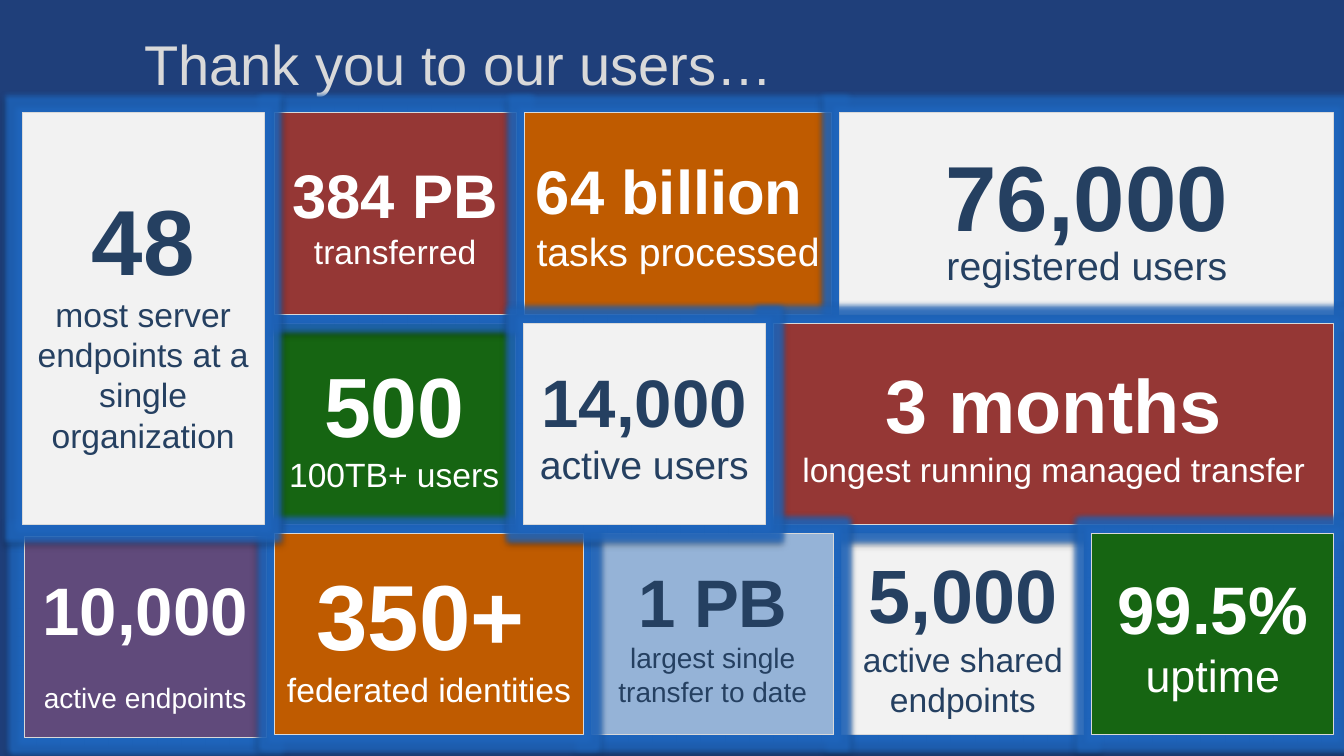
from lxml import etree
from pptx import Presentation
from pptx.dml.color import RGBColor
from pptx.enum.shapes import MSO_SHAPE
from pptx.enum.text import MSO_ANCHOR, PP_ALIGN
from pptx.oxml import parse_xml
from pptx.oxml.ns import nsdecls, qn
from pptx.util import Inches, Pt

NAVY = RGBColor(0x1F, 0x3F, 0x7A)
INK = RGBColor(0x25, 0x40, 0x61)
WHITE = RGBColor(0xFF, 0xFF, 0xFF)
SILVER = RGBColor(0xD9, 0xD9, 0xD9)
PALE = RGBColor(0xF2, 0xF2, 0xF2)
RED = RGBColor(0x95, 0x37, 0x35)
ORANGE = RGBColor(0xBF, 0x5B, 0x00)
GREEN = RGBColor(0x16, 0x65, 0x12)
PURPLE = RGBColor(0x60, 0x4A, 0x7B)
SKY = RGBColor(0x95, 0xB3, 0xD7)
GLOW = RGBColor(0x1F, 0x66, 0xBE)

# Content: a tile is (stacking order, width, fill, text colour, paragraphs);
# a paragraph lists (text, size, bold) runs, with BREAK for a new line
TITLE = "Thank you to our users…"
BREAK = None
SERVERS = (10, 2.4, PALE, INK, [
    [("48", 66, True), BREAK, ("most server endpoints at a single", 24, False)],
    [("organization", 24, False)]])
ENDPOINTS = (3, 2.4, PURPLE, WHITE, [
    [("10,000", 48, True), (" ", 54, True), BREAK, ("active endpoints", 20, False)]])
ROWS = [
    (2.72, [
        (2, 2.4, RED, WHITE, [[("384 PB", 44, True)], [("transferred", 24, False)]]),
        (4, 3.05, ORANGE, WHITE, [
            [("64 billion ", 44, True), BREAK, ("tasks processed", 28, False)]]),
        (5, 4.9, PALE, INK, [[("76,000", 66, True)], [("registered users", 28, False)]])]),
    (2.71, [
        (1, 2.4, GREEN, WHITE, [[("500", 60, True), BREAK, ("100TB+ users", 24, False)]]),
        (11, 2.4, PALE, INK, [[("14,000", 48, True)], [("active users", 28, False)]]),
        (6, 5.56, RED, WHITE, [
            [("3 months", 54, True)], [("longest running managed transfer", 24, False)]])]),
    (2.72, [
        (9, 3.07, ORANGE, WHITE, [
            [("350+", 66, True), (" ", 44, True), BREAK, ("federated identities", 24, False)]]),
        (7, 2.4, SKY, INK, [
            [("1 PB", 48, True), BREAK, ("largest single transfer to date", 20, False)]]),
        (0, 2.4, PALE, INK, [
            [("5,000", 54, True), BREAK, ("active shared endpoints", 24, False)]]),
        (8, 2.4, GREEN, WHITE, [[("99.5%", 48, True)], [("uptime", 32, False)]])]),
]
TOP, ROW_STEP, ROW_HEIGHT, GAP = 1.12, 2.085, 2, 0.08


def add_effects(tile):
    """Blue glow around the tile and a soft shadow below it."""
    effects = parse_xml(
        f'<a:effectLst {nsdecls("a")}>'
        f'<a:glow rad="{Pt(8)}"><a:srgbClr val="{GLOW}"><a:alpha val="85000"/></a:srgbClr></a:glow>'
        f'<a:outerShdw blurRad="{Pt(3.1)}" dist="{Pt(1.8)}" dir="5400000" rotWithShape="0">'
        '<a:srgbClr val="000000"><a:alpha val="35000"/></a:srgbClr></a:outerShdw></a:effectLst>')
    tile.shadow.inherit = False
    properties = tile.fill._xPr
    properties.replace(properties.find(qn("a:effectLst")), effects)


def add_run(paragraph, text, size, bold, color):
    run = paragraph.add_run()
    run.text = text
    run.font.name = "Arial"
    run.font.size = Pt(size)
    run.font.bold = bold
    run.font.color.rgb = color


def add_tile(slide, left, top, height, content):
    _, width, fill, color, paragraphs = content
    tile = slide.shapes.add_shape(
        MSO_SHAPE.RECTANGLE, Inches(left), Inches(top), Inches(width), Inches(height))
    tile.fill.solid()
    tile.fill.fore_color.rgb = fill
    tile.line.color.rgb = SILVER
    tile.line.width = Pt(0.75)
    add_effects(tile)
    frame = tile.text_frame
    frame.word_wrap = True
    frame.vertical_anchor = MSO_ANCHOR.MIDDLE
    for index, runs in enumerate(paragraphs):
        paragraph = frame.add_paragraph() if index else frame.paragraphs[0]
        paragraph.alignment = PP_ALIGN.CENTER
        for run in runs:
            if run is BREAK:
                paragraph.add_line_break()
            else:
                add_run(paragraph, *run, color)
            if run == ("registered users", 28, False):
                paragraph.line_spacing = Pt(28)


def main():
    prs = Presentation()
    prs.slide_width, prs.slide_height = Inches(13.33), Inches(7.5)
    slide = prs.slides.add_slide(prs.slide_layouts[5])
    slide.background.fill.solid()
    slide.background.fill.fore_color.rgb = NAVY

    # Title
    title = slide.shapes.title
    title.left, title.top, title.width, title.height = map(Inches, (1.33, 0, 12, 1.25))
    title.text_frame.vertical_anchor = MSO_ANCHOR.MIDDLE
    heading = title.text_frame.paragraphs[0]
    heading.alignment = PP_ALIGN.LEFT
    add_run(heading, TITLE, 40, False, SILVER)

    # Left column, then each row flowing to the right
    placed = [(0.22, TOP, ROW_STEP + ROW_HEIGHT, SERVERS),
              (0.24, 5.32, ROW_HEIGHT, ENDPOINTS)]
    for row, (left, tiles) in enumerate(ROWS):
        for tile in tiles:
            placed.append((left, TOP + row * ROW_STEP, ROW_HEIGHT, tile))
            left += tile[1] + GAP

    # Glows overlap neighbours, so draw from back to front
    for place in sorted(placed, key=lambda item: item[3][0]):
        add_tile(slide, *place)
    prs.save("out.pptx")


if __name__ == "__main__":
    main()
